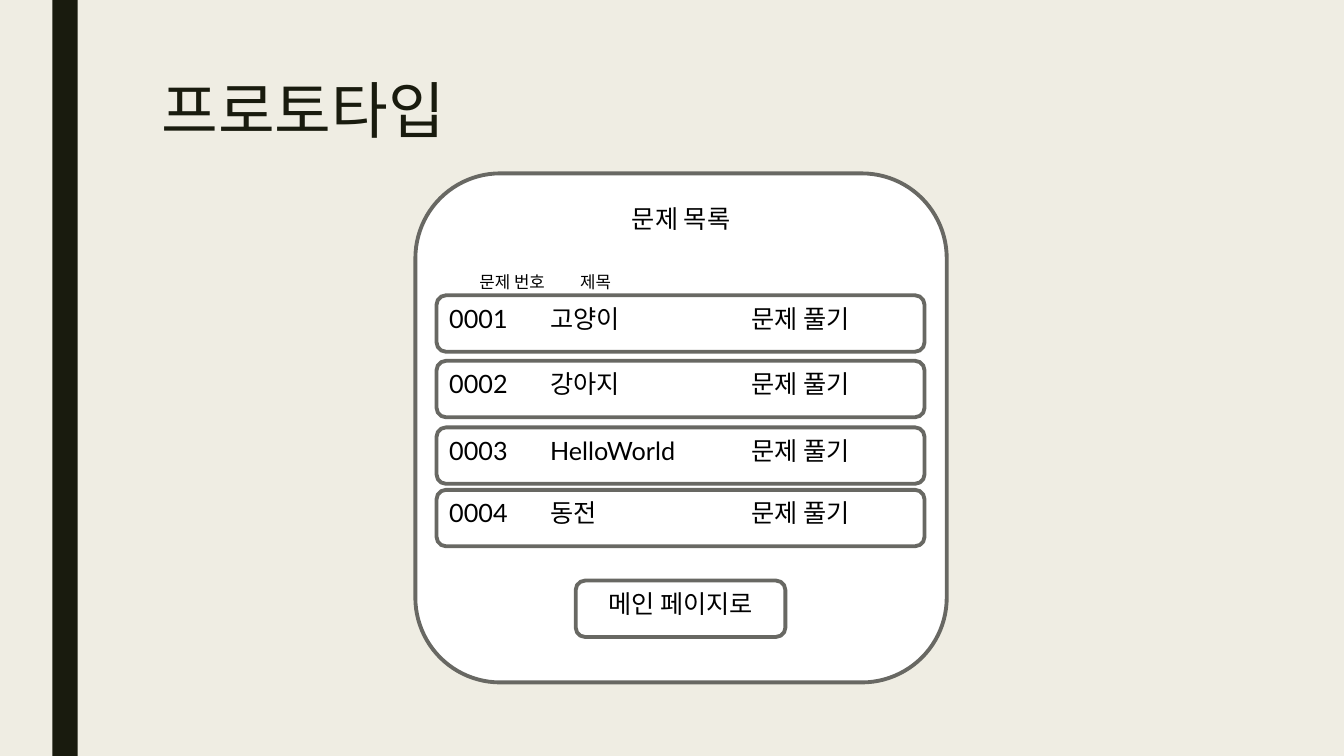
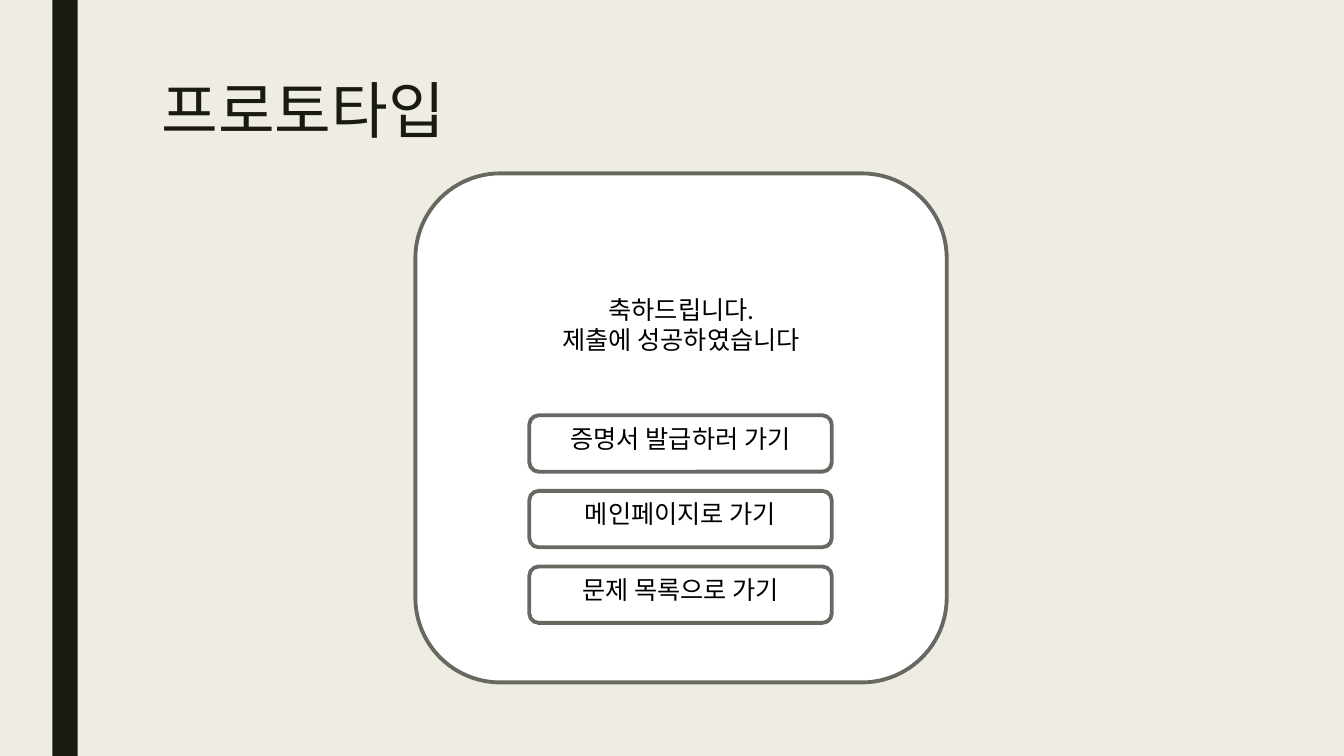
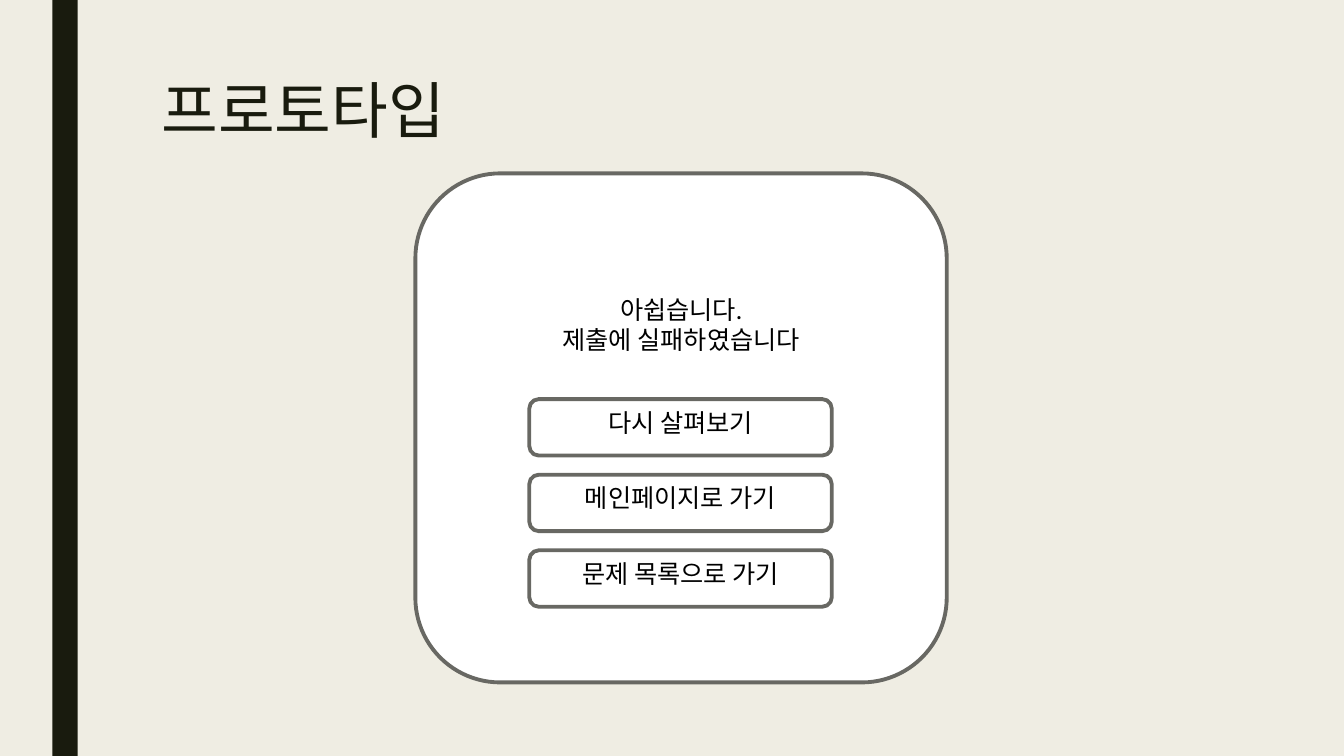
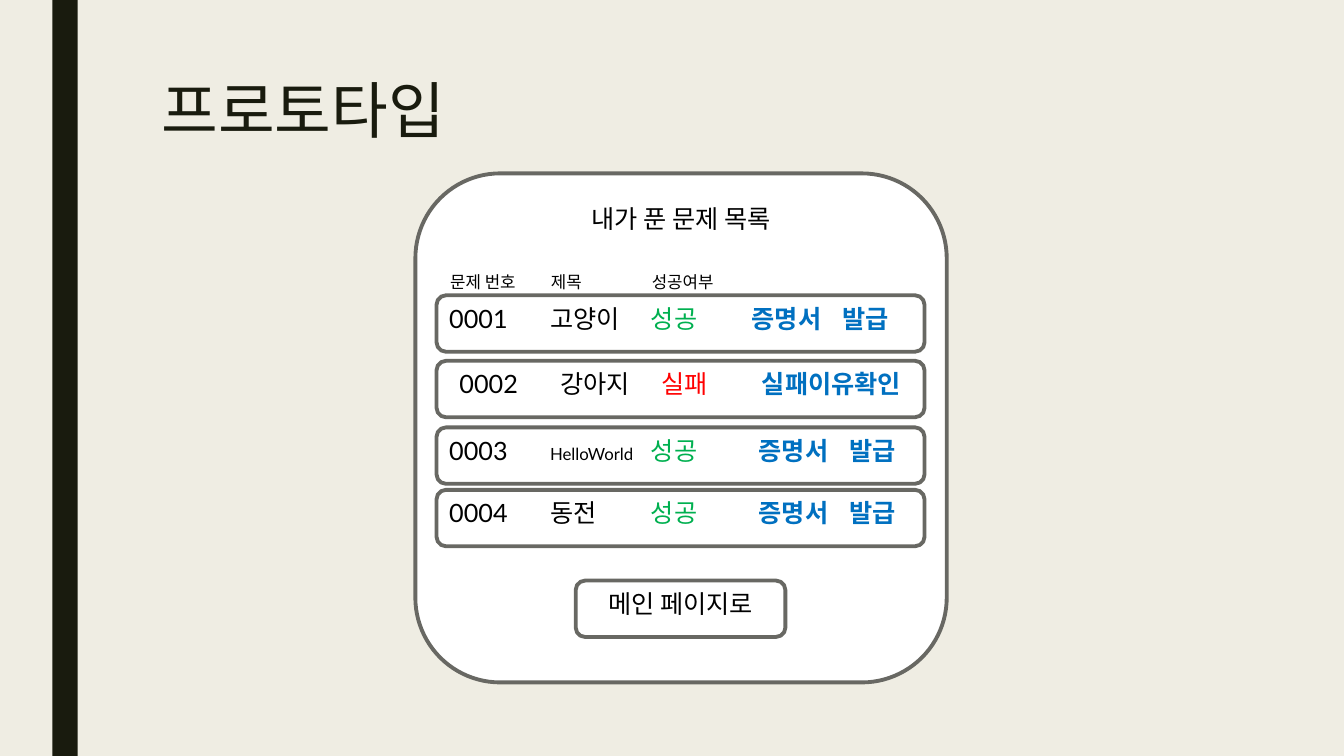
from dataclasses import dataclass

from lxml import etree
from pptx import Presentation
from pptx.dml.color import RGBColor
from pptx.enum.shapes import MSO_SHAPE
from pptx.enum.text import MSO_ANCHOR, MSO_AUTO_SIZE, PP_ALIGN
from pptx.oxml.ns import qn
from pptx.util import Inches, Pt

RECT = MSO_SHAPE.RECTANGLE
ROUNDED = MSO_SHAPE.ROUNDED_RECTANGLE
TOP = MSO_ANCHOR.TOP
NO_AUTOFIT = MSO_AUTO_SIZE.NONE
LEFT = PP_ALIGN.LEFT
CENTER = PP_ALIGN.CENTER

CREAM = RGBColor(0xEF, 0xED, 0xE3)
INK = RGBColor(0x19, 0x1B, 0x0E)
WHITE = RGBColor(0xFF, 0xFF, 0xFF)
GRAY = RGBColor(0x68, 0x68, 0x63)
BLACK = RGBColor(0x00, 0x00, 0x00)
GREEN = RGBColor(0x00, 0xB0, 0x50)
RED = RGBColor(0xFF, 0x00, 0x00)
BLUE = RGBColor(0x00, 0x70, 0xC0)

FONT = "Lato"
TITLE = "프로토타입"
BODY_SIZE = 18
SMALL_SIZE = 12
BOX_HEIGHT = 0.56
ROW_TOPS = (2.93, 3.58, 4.24, 4.86)
BUTTON_STEP = 0.75


@dataclass(frozen=True)
class Cell:
    text: str
    color: RGBColor = BLACK
    size: int = BODY_SIZE
    bold: bool = False


@dataclass(frozen=True)
class Row:
    cells: tuple[Cell, ...]
    stops: tuple[float, ...]
    inset: float = 0.1


@dataclass(frozen=True)
class ListScreen:
    heading: str
    caption: Row
    rows: tuple[Row, ...]


@dataclass(frozen=True)
class ResultScreen:
    message: str
    buttons: tuple[str, ...]
    first_top: float


def small_cells(*texts: str) -> tuple[Cell, ...]:
    return tuple(Cell(text, size=SMALL_SIZE) for text in texts)


def problem_row(number: str, name: str) -> Row:
    return Row((Cell(number), Cell(name), Cell("문제 풀기")), (1, 3))


def solved_row(number: str, name: Cell, action_at: float) -> Row:
    cells = (Cell(number), name, Cell("성공", GREEN),
             Cell("증명서", BLUE, bold=True), Cell("발급", BLUE, bold=True))
    return Row(cells, (1, 2, action_at, action_at + 0.9))


SCREENS = (
    ListScreen(
        "문제 목록",
        Row(small_cells("", "문제 번호", "제목"), (0.29, 1.29)),
        (
            problem_row("0001", "고양이"),
            problem_row("0002", "강아지"),
            problem_row("0003", "HelloWorld"),
            problem_row("0004", "동전"),
        ),
    ),
    ResultScreen(
        "축하드립니다.\n제출에 성공하였습니다",
        ("증명서 발급하러 가기", "메인페이지로 가기", "문제 목록으로 가기"),
        4.12,
    ),
    ResultScreen(
        "아쉽습니다.\n제출에 실패하였습니다",
        ("다시 살펴보기", "메인페이지로 가기", "문제 목록으로 가기"),
        3.96,
    ),
    ListScreen(
        "내가 푼 문제 목록",
        Row(small_cells("문제 번호", "제목", "성공여부"), (1, 2)),
        (
            solved_row("0001", Cell("고양이"), 3),
            Row((Cell("0002"), Cell("강아지"), Cell("실패", RED),
                 Cell("실패이유확인", BLUE, bold=True)), (1, 2, 3), inset=0.2),
            solved_row("0003", Cell("HelloWorld", size=SMALL_SIZE), 3.07),
            solved_row("0004", Cell("동전"), 3.07),
        ),
    ),
)


def format_run(r, size: int, color: RGBColor, bold: bool = False) -> None:
    r.font.name = FONT
    r.font.size = Pt(size)
    r.font.color.rgb = color
    r.font.bold = bold


def add_box(slide, left: float, top: float, width: float, height: float):
    sp = slide.shapes.add_shape(
        ROUNDED, Inches(left), Inches(top), Inches(width), Inches(height))
    sp.shadow.inherit = False
    sp.fill.solid()
    sp.fill.fore_color.rgb = WHITE
    sp.line.color.rgb = GRAY
    sp.line.width = Pt(2.75)
    sp.text_frame.word_wrap = True
    sp.text_frame.vertical_anchor = TOP
    return sp


def write_centered(tf, text: str) -> None:
    tf.text = text
    for p in tf.paragraphs:
        p.alignment = CENTER
        for r in p.runs:
            format_run(r, BODY_SIZE, BLACK)


def write_row(p, row: Row) -> None:
    p.alignment = LEFT
    for i, cell in enumerate(row.cells):
        r = p.add_run()
        r.text = "\t" + cell.text if i else cell.text
        format_run(r, cell.size, cell.color, cell.bold)
    tabs = etree.SubElement(p._p.get_or_add_pPr(), qn("a:tabLst"))
    for stop in row.stops:
        etree.SubElement(tabs, qn("a:tab"), pos=str(Inches(stop)), algn="l")


def add_button(slide, text: str, left: float, top: float, width: float) -> None:
    sp = add_box(slide, left, top, width, BOX_HEIGHT)
    write_centered(sp.text_frame, text)


def add_panel(slide, text: str):
    tf = add_box(slide, 4.12, 1.72, 5.27, 5.05).text_frame
    write_centered(tf, text)
    return tf


def draw_list(slide, screen: ListScreen) -> None:
    p = add_panel(slide, screen.heading).add_paragraph()
    p.space_before = Pt(27.5)
    write_row(p, screen.caption)
    for top, row in zip(ROW_TOPS, screen.rows):
        tf = add_box(slide, 4.33, top, 4.84, BOX_HEIGHT).text_frame
        tf.margin_left = Inches(row.inset)
        write_row(tf.paragraphs[0], row)
    add_button(slide, "메인 페이지로", 5.71, 5.76, 2.08)


def draw_result(slide, screen: ResultScreen) -> None:
    add_panel(slide, screen.message).margin_top = Inches(0.95)
    for i, text in enumerate(screen.buttons):
        add_button(slide, text, 5.25, screen.first_top + i * BUTTON_STEP, 3)


def add_titled_slide(prs):
    slide = prs.slides.add_slide(prs.slide_layouts[5])
    title = slide.shapes.title
    title.left, title.top = Inches(1.5), Inches(0.75)
    title.width, title.height = Inches(10.5), Inches(1.62)
    tf = title.text_frame
    tf.text = TITLE
    tf.word_wrap = True
    tf.auto_size = NO_AUTOFIT
    tf.vertical_anchor = TOP
    p = tf.paragraphs[0]
    p.alignment = LEFT
    p.line_spacing = 0.89
    format_run(p.runs[0], 44, INK)
    return slide


def style_master(prs, slide) -> None:
    master = prs.slide_master
    master.background.fill.solid()
    master.background.fill.fore_color.rgb = CREAM
    bar = slide.shapes.add_shape(
        RECT, Inches(0.52), 0, Inches(0.25), prs.slide_height)
    bar.shadow.inherit = False
    bar.fill.solid()
    bar.fill.fore_color.rgb = INK
    bar.line.fill.background()
    master.shapes.element.append(bar.element)


def main() -> None:
    prs = Presentation()
    prs.slide_width, prs.slide_height = Inches(13.33), Inches(7.5)
    for i, screen in enumerate(SCREENS):
        slide = add_titled_slide(prs)
        if i == 0:
            style_master(prs, slide)
        if isinstance(screen, ListScreen):
            draw_list(slide, screen)
        else:
            draw_result(slide, screen)
    prs.save("out.pptx")


if __name__ == "__main__":
    main()
